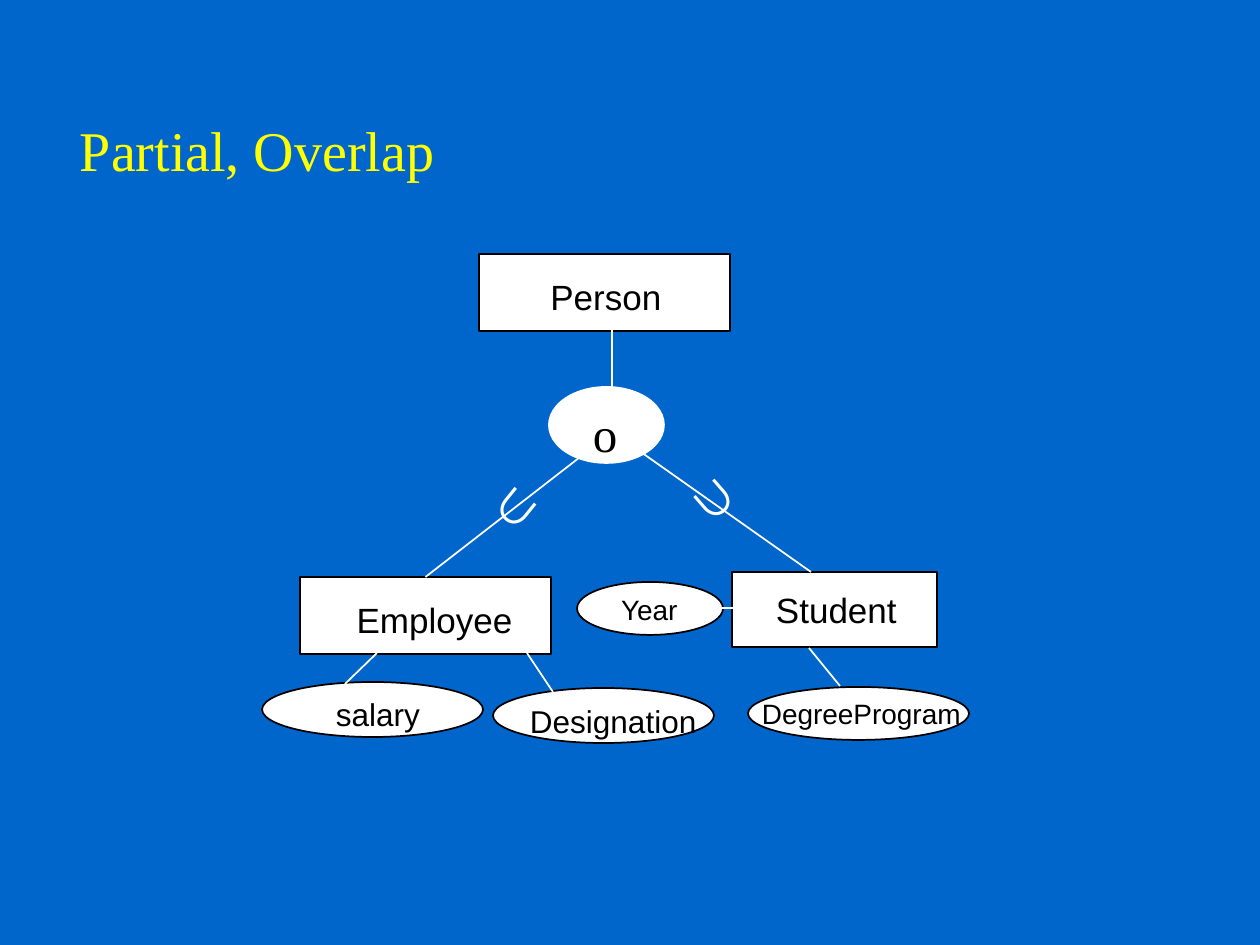
import dataclasses

import pptx
import pptx.dml.color
import pptx.enum.shapes
import pptx.enum.text
import pptx.util
from lxml import etree

SHAPE = pptx.enum.shapes.MSO_SHAPE
ALIGN = pptx.enum.text.PP_ALIGN
ANCHOR = pptx.enum.text.MSO_ANCHOR
DRAWING_NS = "http://schemas.openxmlformats.org/drawingml/2006/main"
PX_PER_INCH = 126
INSET_X, INSET_Y = 12, 6


def px(length):
    return pptx.util.Emu(round(length * 914400 / PX_PER_INCH))


@dataclasses.dataclass(frozen=True)
class Theme:
    background: str = "0066CC"
    title: str = "FFFF00"
    white: str = "FFFFFF"
    ink: str = "000000"
    sans: str = "Arial"
    serif: str = "Times New Roman"
    title_size: int = 32
    entity_size: int = 20
    attribute_size: int = 18
    small_size: int = 16
    overlap_size: int = 28
    subset_size: int = 36
    line_width: int = 1


class DiagramSlide:
    def __init__(self, slide, theme):
        self.slide = slide
        self.theme = theme
        fill = slide.background.fill
        fill.solid()
        fill.fore_color.rgb = self.color(theme.background)

    @staticmethod
    def color(value):
        return pptx.dml.color.RGBColor.from_string(value)

    def outlined(self, kind, left, top, width, height, line=None):
        """Add a white shape, outlined in ink unless another line colour is given."""
        shape = self.slide.shapes.add_shape(kind, px(left), px(top), px(width), px(height))
        shape.shadow.inherit = False
        shape.fill.solid()
        shape.fill.fore_color.rgb = self.color(self.theme.white)
        shape.line.color.rgb = self.color(line or self.theme.ink)
        shape.line.width = pptx.util.Pt(self.theme.line_width)
        return shape

    def entity(self, left, top, width, height):
        return self.outlined(SHAPE.RECTANGLE, left, top, width, height)

    def attribute(self, left, top, width, height):
        return self.outlined(SHAPE.OVAL, left, top, width, height)

    def text(self, words, left, top, width, height, size, color=None, font=None,
             align=ALIGN.LEFT, anchor=ANCHOR.TOP, indent=INSET_X, rotation=0):
        """Add a label; centred labels stay on one line."""
        centred = align == ALIGN.CENTER
        box = self.slide.shapes.add_textbox(px(left), px(top), px(width), px(height))
        box.rotation = rotation
        frame = box.text_frame
        frame.word_wrap = not centred
        frame.vertical_anchor = anchor
        frame.margin_left = px(indent)
        frame.margin_right = px(indent if centred else 0)
        frame.margin_top = frame.margin_bottom = px(INSET_Y)
        paragraph = frame.paragraphs[0]
        paragraph.text = words
        paragraph.alignment = align
        paragraph.font.size = pptx.util.Pt(size)
        paragraph.font.name = font or self.theme.sans
        paragraph.font.color.rgb = self.color(color or self.theme.ink)
        return box

    def line(self, start, end):
        connector = self.slide.shapes.add_connector(
            pptx.enum.shapes.MSO_CONNECTOR.STRAIGHT, *map(px, start + end))
        connector.line.color.rgb = self.color(self.theme.white)
        connector.line.width = pptx.util.Pt(self.theme.line_width)
        etree.SubElement(connector._element.spPr, f"{{{DRAWING_NS}}}effectLst")
        return connector


def main():
    presentation = pptx.Presentation()
    presentation.slide_width = pptx.util.Inches(10)
    presentation.slide_height = pptx.util.Inches(7.5)
    theme = Theme()
    diagram = DiagramSlide(presentation.slides.add_slide(presentation.slide_layouts[6]), theme)

    diagram.text("Partial, Overlap", 53, 37, 1071, 152, theme.title_size, theme.title,
                 theme.serif, anchor=ANCHOR.BOTTOM, indent=27)

    # Entities
    employee = diagram.entity(300, 577, 251, 77)
    diagram.entity(732, 572, 205, 75)
    diagram.entity(479, 254, 251, 77)
    diagram.text("Employee", 344, 592, 181, 54, theme.entity_size, align=ALIGN.CENTER)
    diagram.text("Student", 745, 582, 165, 54, theme.entity_size, indent=31)
    diagram.text("Person", 538, 269, 136, 54, theme.entity_size, align=ALIGN.CENTER)

    # Specialization
    diagram.line((633, 416), (422, 575)).end_connect(employee, 0)
    diagram.line((604, 426), (811, 572))
    diagram.line((612, 330), (612, 426))
    for left, top, rotation in ((680, 465, 139), (470, 469, 219)):
        diagram.text("∩", left, top, 76, 88, theme.subset_size, theme.white, rotation=rotation)
    diagram.outlined(SHAPE.OVAL, 549, 387, 115, 76, theme.white)
    diagram.text("o", 581, 397, 63, 72, theme.overlap_size, font=theme.serif)

    # Attributes
    diagram.attribute(262, 682, 221, 55)
    diagram.attribute(493, 688, 221, 55)
    diagram.attribute(748, 687, 221, 53)
    diagram.attribute(577, 582, 146, 53)
    diagram.text("salary", 289, 689, 176, 50, theme.attribute_size, indent=47)
    diagram.text("Designation", 518, 696, 194, 50, theme.attribute_size)
    diagram.text("DegreeProgram", 750, 691, 227, 45, theme.small_size)
    diagram.text("Year", 609, 587, 105, 45, theme.small_size)
    diagram.line((345, 684), (377, 653))
    diagram.line((527, 653), (553, 692))
    diagram.line((809, 648), (840, 686))
    diagram.line((713, 608), (745, 608))

    presentation.save("out.pptx")


if __name__ == "__main__":
    main()
